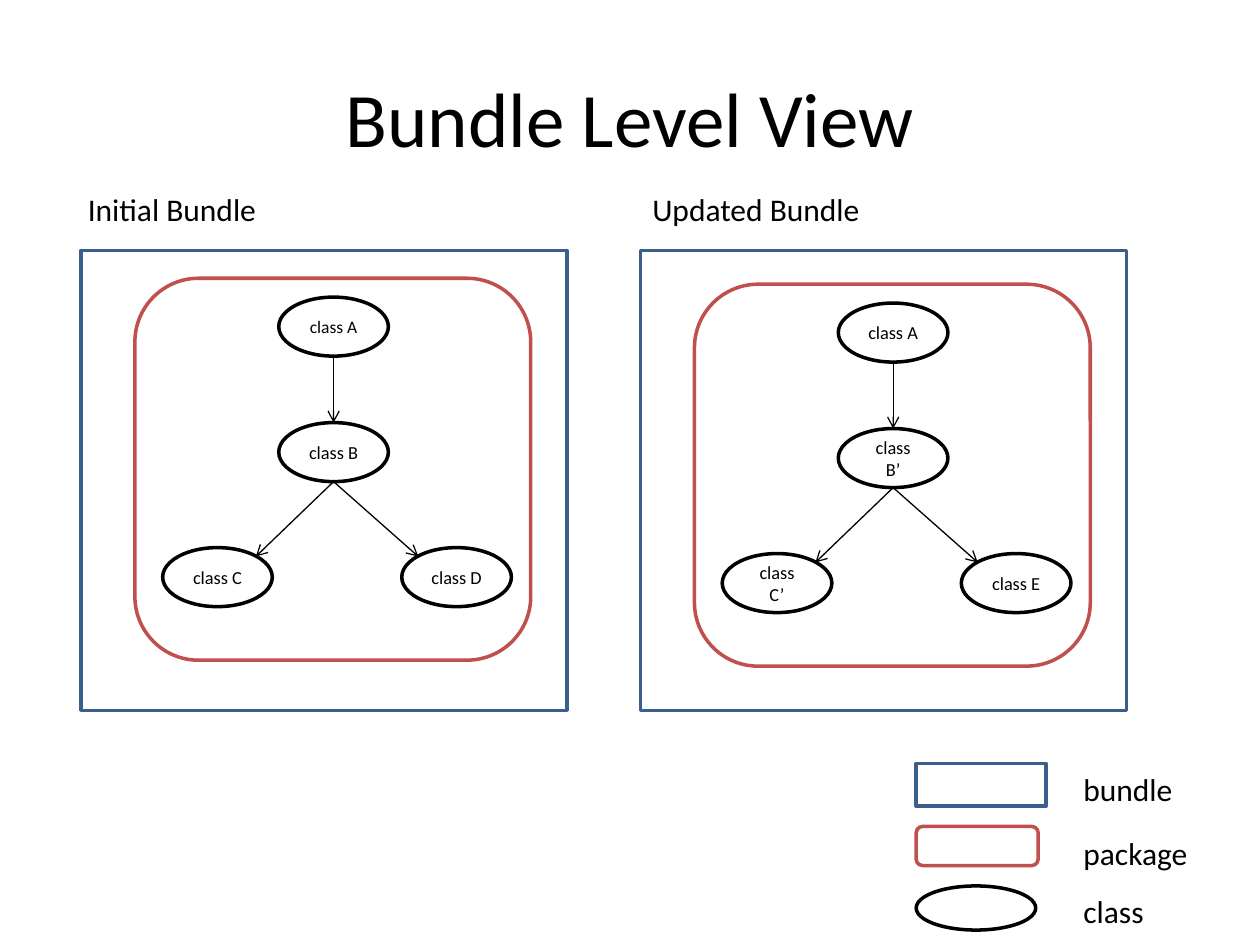
from lxml import etree
from pptx import Presentation
from pptx.dml.color import RGBColor
from pptx.enum.shapes import MSO_CONNECTOR, MSO_SHAPE
from pptx.enum.text import MSO_ANCHOR, PP_ALIGN
from pptx.oxml.ns import qn
from pptx.util import Cm, Pt

RECT, ROUND, OVAL = MSO_SHAPE.RECTANGLE, MSO_SHAPE.ROUNDED_RECTANGLE, MSO_SHAPE.OVAL
STRAIGHT = MSO_CONNECTOR.STRAIGHT
LEFT, CENTER = PP_ALIGN.LEFT, PP_ALIGN.CENTER
TOP, MIDDLE = MSO_ANCHOR.TOP, MSO_ANCHOR.MIDDLE

# Content
FONT = "Calibri"
COLORS = {"bundle": "3A5F8C", "package": "C0504D", "class": "000000",
          "text": "000000", "paper": "FFFFFF"}
OUTLINES = {"bundle": RECT, "package": ROUND, "class": OVAL}
TITLE = "Bundle Level View"
# heading, heading left and width, package top, (class, text size) by position
BUNDLES = [
    ("Initial Bundle", 1.52, 4.57, 5.61,
     {"root": ("class A", 10), "middle": ("class B", 10.5),
      "left": ("class C", 10.5), "right": ("class D", 10.5)}),
    ("Updated Bundle", 12.9, 5.21, 5.73,
     {"root": ("class A", 10.5), "middle": ("class B’", 10.5),
      "left": ("class C’", 10.5), "right": ("class E", 10.5)}),
]
# kind, symbol top, width, height, label top
LEGEND = [("bundle", 15.39, 2.62, 0.86, 15.39),
          ("package", 16.66, 2.46, 0.79, 16.69),
          ("class", 17.86, 2.41, 0.89, 17.86)]

# Layout in centimetres
BUNDLE_LEFT, BUNDLE_TOP, BUNDLE_W, BUNDLE_H = 1.63, 5.05, 9.8, 9.27
BUNDLE_PITCH = 11.28
PACKAGE_INDENT, PACKAGE_W, PACKAGE_H = 1.09, 7.98, 7.7
CLASS_W, CLASS_H = 2.21, 1.19
# class offsets from the package corner
CLASS_OFFSETS = {"root": (2.9, 0.38), "middle": (2.9, 2.91),
                 "left": (0.56, 5.43), "right": (5.38, 5.43)}
# arrow ends as fractions of a class oval: bottom, top and upper diagonals
DIAGONAL = 0.15
ARROWS = [("root", "middle", (0.5, 0)),
          ("middle", "left", (1 - DIAGONAL, DIAGONAL)),
          ("middle", "right", (DIAGONAL, DIAGONAL))]
LEGEND_LEFT, LEGEND_LABEL_LEFT, LEGEND_LABEL_W = 18.47, 21.59, 2.69

prs = Presentation()
prs.slide_width, prs.slide_height = Cm(25.4), Cm(19.05)
slide = prs.slides.add_slide(prs.slide_layouts[6])


def rgb(name):
    return RGBColor.from_string(COLORS[name])


def write(frame, text, size, align=LEFT, anchor=TOP):
    frame.text = text
    frame.word_wrap = True
    frame.vertical_anchor = anchor
    paragraph = frame.paragraphs[0]
    paragraph.alignment = align
    font = paragraph.runs[0].font
    font.name, font.size, font.color.rgb = FONT, Pt(size), rgb("text")


def add_label(text, size, left, top, width, height=1.02, **placement):
    label = slide.shapes.add_textbox(Cm(left), Cm(top), Cm(width), Cm(height))
    write(label.text_frame, text, size, **placement)


def add_symbol(kind, left, top, width, height):
    symbol = slide.shapes.add_shape(OUTLINES[kind], Cm(left), Cm(top), Cm(width), Cm(height))
    symbol.shadow.inherit = False
    if kind == "package":
        symbol.fill.solid()
        symbol.fill.fore_color.rgb = rgb("paper")
    else:
        symbol.fill.background()
    symbol.line.color.rgb = rgb(kind)
    symbol.line.width = Pt(2)
    return symbol


def add_arrow(start, end):
    arrow = slide.shapes.add_connector(STRAIGHT, *(Cm(v) for v in start + end))
    arrow.line.color.rgb = rgb("class")
    arrow.line.width = Pt(0.75)
    etree.SubElement(arrow.line._get_or_add_ln(), qn("a:tailEnd"), type="arrow")
    etree.SubElement(arrow._element.spPr, qn("a:effectLst"))


# Title
add_label(TITLE, 44, 1.27, 0.76, 22.86, 3.18, align=CENTER, anchor=MIDDLE)

# Bundles with their package, classes and dependencies
for i, (heading, heading_left, heading_w, package_top, classes) in enumerate(BUNDLES):
    bundle_left = BUNDLE_LEFT + i * BUNDLE_PITCH
    package_left = bundle_left + PACKAGE_INDENT
    add_label(heading, 18, heading_left, 3.71, heading_w)
    add_symbol("bundle", bundle_left, BUNDLE_TOP, BUNDLE_W, BUNDLE_H)
    add_symbol("package", package_left, package_top, PACKAGE_W, PACKAGE_H)

    corners = {position: (package_left + dx, package_top + dy)
               for position, (dx, dy) in CLASS_OFFSETS.items()}
    for position, (name, size) in classes.items():
        oval = add_symbol("class", *corners[position], CLASS_W, CLASS_H)
        write(oval.text_frame, name, size, CENTER, MIDDLE)

    for source, target, (fx, fy) in ARROWS:
        (x1, y1), (x2, y2) = corners[source], corners[target]
        add_arrow((x1 + CLASS_W / 2, y1 + CLASS_H),
                  (x2 + fx * CLASS_W, y2 + fy * CLASS_H))

# Legend
for kind, top, width, height, label_top in LEGEND:
    add_symbol(kind, LEGEND_LEFT, top, width, height)
    add_label(kind, 18, LEGEND_LABEL_LEFT, label_top, LEGEND_LABEL_W)

prs.save("out.pptx")
